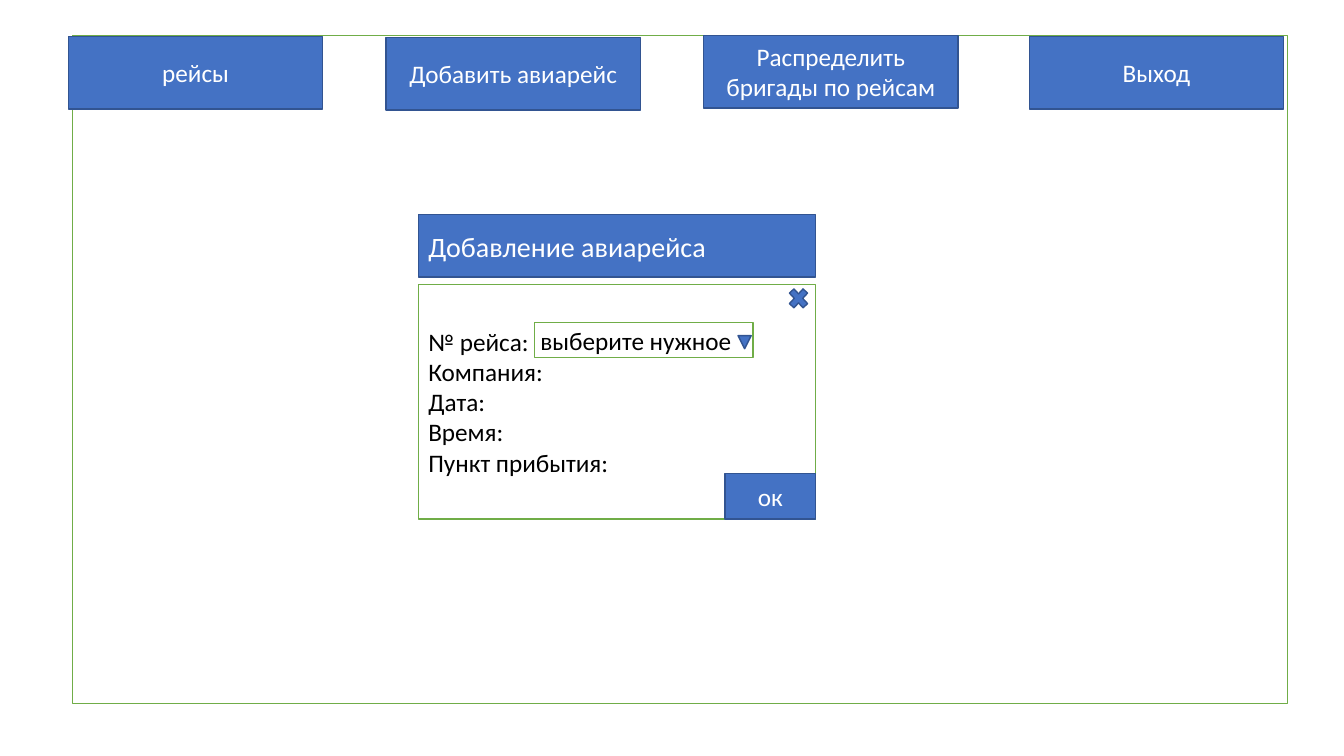
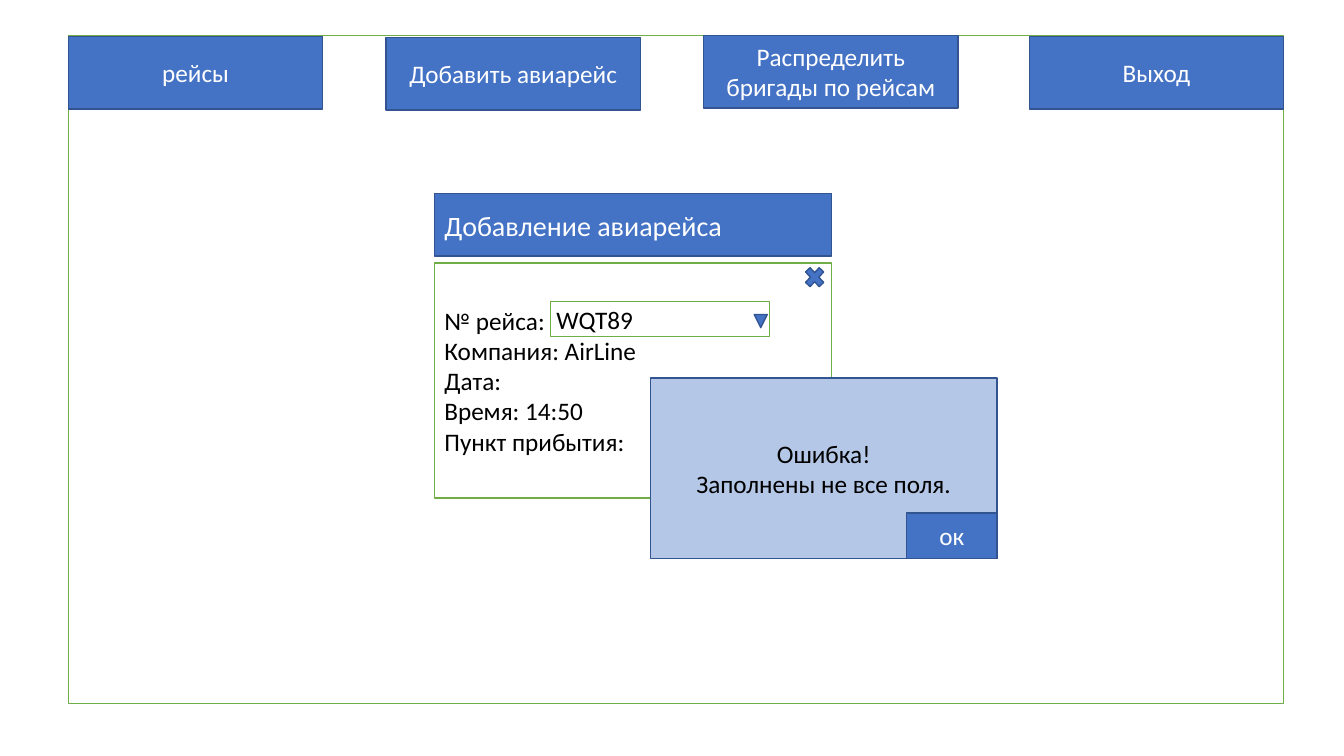
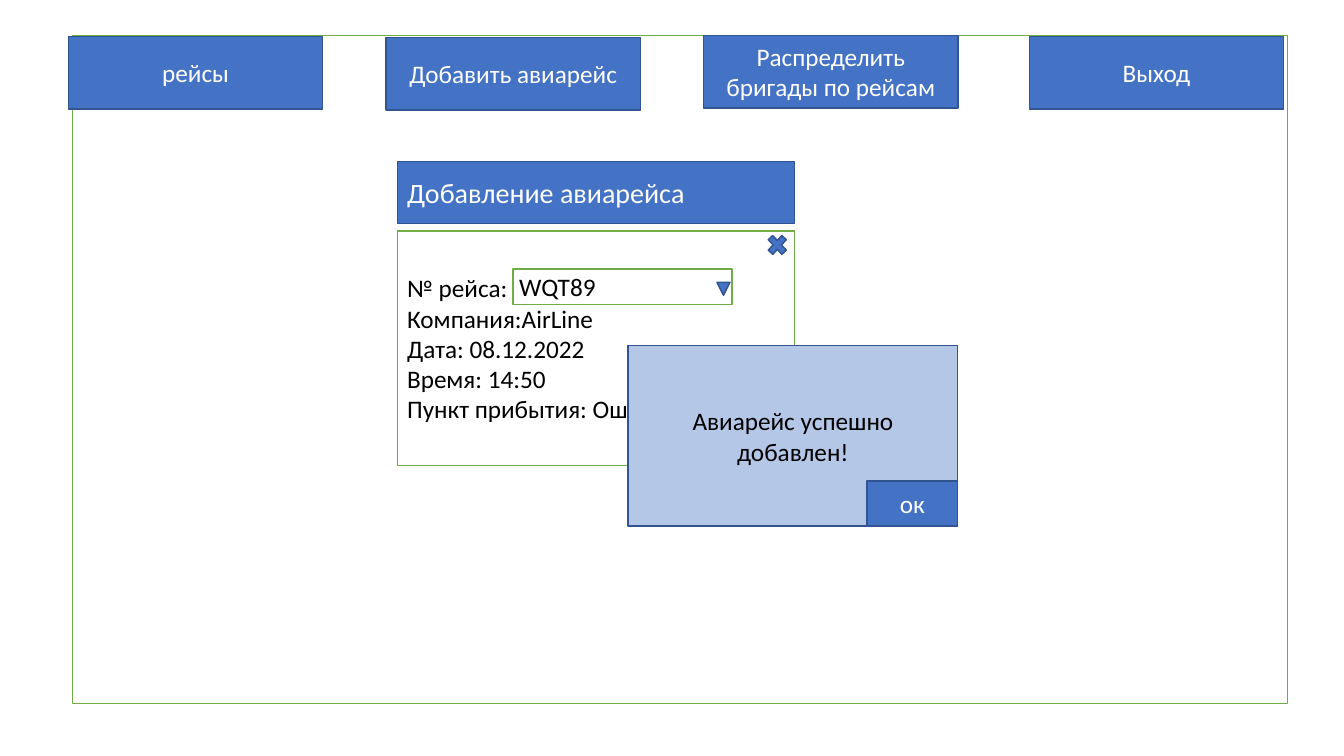
from pptx import Presentation
from pptx.dml.color import RGBColor
from pptx.enum.shapes import MSO_SHAPE as Geometry
from pptx.enum.text import MSO_ANCHOR as Anchor, PP_ALIGN as Align
from pptx.util import Emu, Pt

PX = 9144
WHITE = RGBColor(0xFF, 0xFF, 0xFF)
BLACK = RGBColor(0x00, 0x00, 0x00)
BLUE = RGBColor(0x44, 0x72, 0xC4)
NAVY = RGBColor(0x32, 0x54, 0x91)
PALE = RGBColor(0xB4, 0xC7, 0xE7)
GREEN = RGBColor(0x70, 0xAD, 0x47)

SIZE = (1333, 750)
MENU = [
    (68, 36, "рейсы"),
    (383, 37, "Добавить авиарейс"),
    (698, 35, "Распределить бригады по рейсам"),
    (1021, 36, "Выход"),
]
FORM_WIDTH, FORM_HEIGHT, FORM_DROP = 394, 233, 69
OK_WIDTH, OK_HEIGHT = 90, 45

SCREENS = [
    {
        "frame_left": 72,
        "form": (415, 213),
        "flight": "выберите нужное",
        "details": ["Компания:", "Дата:", "Время:", "Пункт прибытия:"],
        "popup": None,
    },
    {
        "frame_left": 68,
        "form": (431, 192),
        "flight": "WQT89",
        "details": ["Компания: AirLine", "Дата:", "Время: 14:50", "Пункт прибытия:"],
        "popup": (645, 375, 344, ["Ошибка!", "Заполнены не все поля."]),
    },
    {
        "frame_left": 72,
        "form": (394, 160),
        "flight": "WQT89",
        "details": ["Компания:AirLine", "Дата: 08.12.2022", "Время: 14:50", "Пункт прибытия: Ош"],
        "popup": (623, 343, 327, ["Авиарейс успешно добавлен!"]),
    },
]


class Mockup:
    """Draws the interface mockup screens in one shared style."""

    def __init__(self):
        self.deck = Presentation()
        self.deck.slide_width, self.deck.slide_height = (Emu(side * PX) for side in SIZE)
        self.slide = None

    def box(self, left, top, width, height, fill=BLUE, line=NAVY, geometry=Geometry.RECTANGLE):
        area = [Emu(length * PX) for length in (left, top, width, height)]
        shape = self.slide.shapes.add_shape(geometry, *area)
        shape.shadow.inherit = False
        if fill is None:
            shape.fill.background()
        else:
            shape.fill.solid()
            shape.fill.fore_color.rgb = fill
        shape.line.color.rgb = line
        shape.line.width = Pt(1)
        return shape

    def label(self, shape, lines, color=WHITE, size=18, align=Align.CENTER, **frame_format):
        frame = shape.text_frame
        for name, value in {"word_wrap": True, "vertical_anchor": Anchor.MIDDLE, **frame_format}.items():
            setattr(frame, name, value)
        for index, line in enumerate(lines):
            paragraph = frame.add_paragraph() if index else frame.paragraphs[0]
            paragraph.alignment = align
            run = paragraph.add_run()
            run.text = line
            run.font.color.rgb = color
            for name, value in {"name": "Calibri", "size": Pt(size)}.items():
                setattr(run.font, name, value)

    def screen(self, frame_left):
        self.slide = self.deck.slides.add_slide(self.deck.slide_layouts[6])
        self.box(frame_left, 35, 1205, 663, WHITE, GREEN)
        for left, top, command in MENU:
            self.label(self.box(left, top, 252, 72), [command])

    def form(self, left, top, flight, details):
        body_top = top + FORM_DROP
        body = self.box(left, body_top, FORM_WIDTH, FORM_HEIGHT, WHITE, GREEN)
        self.label(body, ["№ рейса:", *details], BLACK, align=Align.LEFT)
        heading = self.box(left, top, FORM_WIDTH, 62)
        self.label(heading, ["Добавление авиарейса"], size=20, align=Align.LEFT)
        self.dropdown(left + 115, body_top + 38, flight)
        self.box(left + 364, body_top, 26, 28, geometry=Geometry.MATH_MULTIPLY)

    def dropdown(self, left, top, choice):
        field = self.box(left, top, 217, 35, None, GREEN)
        self.label(field, [choice], BLACK, align=Align.LEFT, margin_left=Emu(6 * PX), margin_right=0)
        arrow = self.box(left + 202, top + 13, 13, 13, geometry=Geometry.ISOSCELES_TRIANGLE)
        arrow.rotation = 180

    def ok_button(self, right, bottom):
        button = self.box(right - OK_WIDTH, bottom - OK_HEIGHT, OK_WIDTH, OK_HEIGHT)
        self.label(button, ["ок"])

    def popup(self, left, top, width, message):
        height = 179
        self.label(self.box(left, top, width, height, PALE), message, BLACK)
        self.ok_button(left + width, top + height)


def main():
    mockup = Mockup()
    for screen in SCREENS:
        left, top = screen["form"]
        mockup.screen(screen["frame_left"])
        mockup.form(left, top, screen["flight"], screen["details"])
        if screen["popup"]:
            mockup.popup(*screen["popup"])
        else:
            mockup.ok_button(left + FORM_WIDTH, top + FORM_DROP + FORM_HEIGHT)
    mockup.deck.save("out.pptx")


if __name__ == "__main__":
    main()
